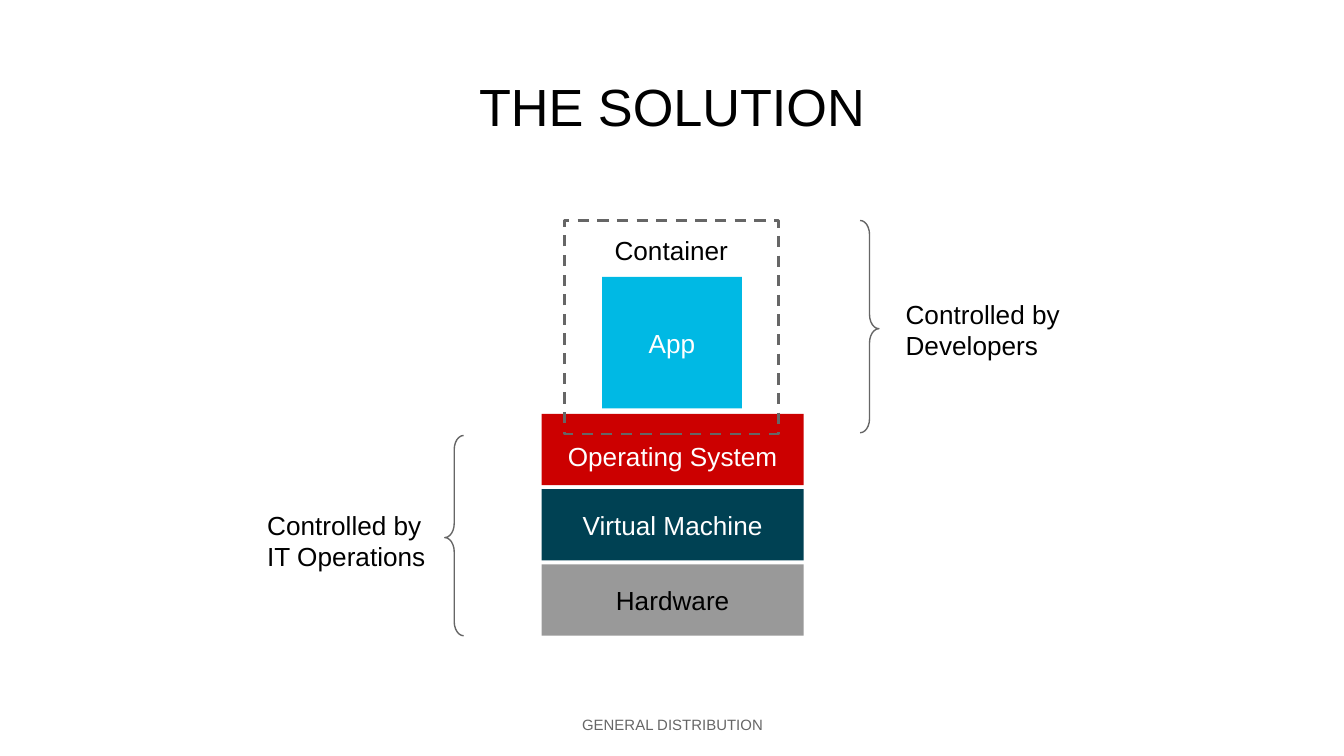
"""Build the solution slide: a container stack with its two areas of control."""
from pptx import Presentation
from pptx.dml.color import RGBColor
from pptx.enum.dml import MSO_LINE
from pptx.enum.shapes import MSO_SHAPE
from pptx.enum.text import MSO_ANCHOR, PP_ALIGN
from pptx.util import Inches, Pt

BLACK = RGBColor(0x00, 0x00, 0x00)
WHITE = RGBColor(0xFF, 0xFF, 0xFF)
GRAY = RGBColor(0x66, 0x66, 0x66)
SILVER = RGBColor(0x99, 0x99, 0x99)
TEAL = RGBColor(0x00, 0x41, 0x53)
RED = RGBColor(0xCC, 0x00, 0x00)
CYAN = RGBColor(0x00, 0xB9, 0xE4)
TOP, MIDDLE, BOTTOM = MSO_ANCHOR.TOP, MSO_ANCHOR.MIDDLE, MSO_ANCHOR.BOTTOM


def write(sp, lines, color, anchor, size=14, align=PP_ALIGN.CENTER):
    tf = sp.text_frame
    tf.word_wrap = True
    tf.vertical_anchor = anchor
    tf.margin_left = tf.margin_right = tf.margin_top = tf.margin_bottom = Inches(0.1)
    p = tf.paragraphs[0]
    p.alignment = align
    for i, line in enumerate(lines):
        if i:
            p.add_line_break()
        r = p.add_run()
        r.text = line
        r.font.name = "Arial"
        r.font.size = Pt(size)
        r.font.color.rgb = color


def add_shape(kind, box, fill=None, width=None):
    sp = s.shapes.add_shape(kind, *map(Inches, box))
    sp.shadow.inherit = False
    if fill is None:
        sp.fill.background()
    else:
        sp.fill.solid()
        sp.fill.fore_color.rgb = fill
    if width is None:
        sp.line.fill.background()
    else:
        sp.line.color.rgb = GRAY
        sp.line.width = Pt(width)
    return sp


prs = Presentation()
prs.slide_width, prs.slide_height = Inches(10), Inches(10 * 9 / 16)
s = prs.slides.add_slide(prs.slide_layouts[6])

for box, text, color, anchor, size in [
    ((3.68, 5.18, 2.65, 0.43), "GENERAL DISTRIBUTION", GRAY, MIDDLE, 8),
    ((0.75, 0, 8.5, 1.12), "THE SOLUTION", BLACK, BOTTOM, 28),
]:
    write(s.shapes.add_textbox(*map(Inches, box)), [text], color, anchor, size)

layers = [
    ("Hardware", SILVER, BLACK, MIDDLE),
    ("Virtual Machine", TEAL, WHITE, MIDDLE),
    ("Operating System", RED, WHITE, BOTTOM),
]
for i, (text, fill, color, anchor) in enumerate(layers):
    sp = add_shape(MSO_SHAPE.RECTANGLE, (4.03, 4.2 - 0.56 * i, 1.95, 0.53), fill)
    write(sp, [text], color, anchor)

container = add_shape(MSO_SHAPE.RECTANGLE, (4.2, 1.64, 1.59, 1.59), width=1.5)
container.line.dash_style = MSO_LINE.DASH
write(container, ["Container"], BLACK, TOP)

app = add_shape(MSO_SHAPE.RECTANGLE, (4.48, 2.06, 1.04, 0.98), CYAN)
write(app, ["App"], WHITE, MIDDLE)

for label_box, owner, kind, brace_box in [
    ((6.64, 2.12, 1.83, 0.53), "Developers", MSO_SHAPE.RIGHT_BRACE, (6.4, 1.64, 0.14, 1.58)),
    ((1.89, 3.69, 2.96, 0.53), "IT Operations", MSO_SHAPE.LEFT_BRACE, (3.31, 3.24, 0.14, 1.49)),
]:
    label = s.shapes.add_textbox(*map(Inches, label_box))
    write(label, ["Controlled by ", owner], BLACK, TOP, align=PP_ALIGN.LEFT)
    brace = add_shape(kind, brace_box, width=0.75)
    brace.adjustments[0] = 0.75
    brace.adjustments[1] = 0.51

prs.save("out.pptx")
